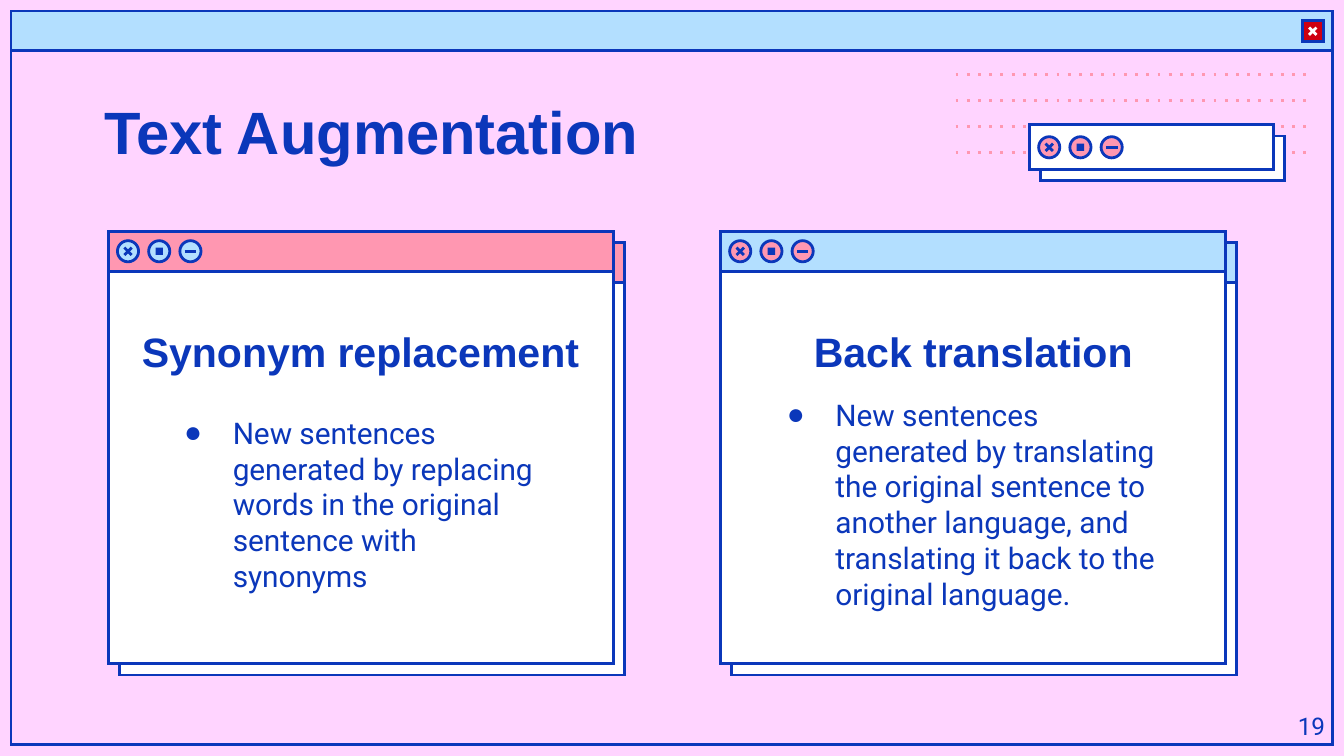
from lxml.etree import SubElement
from pptx import Presentation
from pptx.dml.color import RGBColor
from pptx.enum.dml import MSO_LINE
from pptx.enum.shapes import MSO_CONNECTOR, MSO_SHAPE as Preset
from pptx.enum.text import MSO_ANCHOR as Anchor, PP_ALIGN as Align
from pptx.oxml.ns import qn
from pptx.util import Cm, Pt

color = RGBColor.from_string
BLUE, SKY, ROSE, PINK, RED, WHITE = "0B37BA", "B3DFFF", "FF97B1", "FFD4FF", "CF0011", "FFFFFF"

deck = Presentation()
deck.slide_width, deck.slide_height = Cm(25.4), Cm(14.29)
slide = deck.slides.add_slide(deck.slide_layouts[6])
slide.background.fill.solid()
slide.background.fill.fore_color.rgb = color(PINK)


def add_block(preset, x, y, w, h, fill=None, outline=BLUE):
    block = slide.shapes.add_shape(preset, Cm(x), Cm(y), Cm(w), Cm(h))
    block.shadow.inherit = False
    if fill:
        block.fill.solid()
        block.fill.fore_color.rgb = color(fill)
    else:
        block.fill.background()
    if outline:
        block.line.color.rgb = color(outline)
        block.line.width = Pt(1.5)
        # Sharp corners
        SubElement(block.element.spPr.find(qn("a:ln")), qn("a:miter"), lim="800000")
    else:
        block.line.fill.background()


def add_stroke(x1, y1, x2, y2, ink, dotted=False):
    stroke = slide.shapes.add_connector(MSO_CONNECTOR.STRAIGHT, Cm(x1), Cm(y1), Cm(x2), Cm(y2))
    stroke.line.color.rgb = color(ink)
    stroke.line.width = Pt(1.5)
    if dotted:
        stroke.line.dash_style = MSO_LINE.ROUND_DOT
        for dash in stroke.element.iter(qn("a:prstDash")):
            dash.set("val", "dot")
    SubElement(stroke.element.spPr, qn("a:effectLst"))


# Browser frame with title bar and close button
add_block(Preset.RECTANGLE, 0.21, 0.21, 24.97, 13.87)
add_block(Preset.RECTANGLE, 0.21, 0.21, 24.97, 0.75, SKY)
add_block(Preset.RECTANGLE, 24.62, 0.39, 0.39, 0.39, RED)
for slope in (-1, 1):
    add_stroke(24.74, 0.59 - slope * 0.07, 24.88, 0.59 + slope * 0.07, WHITE)

# Dotted rows
for row in range(4):
    y = 1.41 + row * 0.49
    add_stroke(18.06, y, 24.79, y, ROSE, dotted=True)

# Windows: left, top, width, height, bar height, bar colour, button colour
windows = [
    (2.05, 4.37, 9.54, 8.18, 0.76, ROSE, SKY),
    (13.62, 4.37, 9.54, 8.18, 0.76, SKY, ROSE),
    (19.46, 2.36, 4.61, 0.85, 0.85, None, ROSE),
]
for left, top, width, height, bar_height, bar_color, button_color in windows:
    for shift in (0.21, 0):
        add_block(Preset.RECTANGLE, left + shift, top + shift, width, height, WHITE)
        if bar_color:
            add_block(Preset.RECTANGLE, left + shift, top + shift, width, bar_height, bar_color)

    # Three round buttons: cross, square, dash
    middle = top + bar_height / 2
    cross, square, dash = [left + 0.37 + n * 0.59 for n in range(3)]
    for center in (cross, square, dash):
        add_block(Preset.OVAL, center - 0.2, middle - 0.2, 0.4, 0.4, button_color)
    for slope in (-1, 1):
        add_stroke(cross - 0.07, middle - slope * 0.07, cross + 0.07, middle + slope * 0.07, BLUE)
    add_block(Preset.RECTANGLE, square - 0.07, middle - 0.07, 0.14, 0.14, BLUE, None)
    add_stroke(dash - 0.11, middle, dash + 0.11, middle, BLUE)

# Texts: wording, place, font, size, bold, alignment, anchor, bulleted
texts = [
    ("Text Augmentation", (1.72, 1.55, 17.75, 1.65),
     "Arial", 32, True, Align.LEFT, Anchor.TOP, False),
    ("Synonym replacement", (2.41, 6.12, 8.81, 1.04),
     "Arial", 22, True, Align.CENTER, Anchor.MIDDLE, False),
    ("New sentences generated by replacing words in the original sentence with synonyms",
     (2.88, 7.15, 7.9, 4.75), "Roboto", 16, False, Align.LEFT, Anchor.MIDDLE, True),
    ("Back translation", (13.99, 6.12, 8.81, 1.04),
     "Arial", 22, True, Align.CENTER, Anchor.MIDDLE, False),
    ("New sentences generated by translating the original sentence to another language, "
     "and translating it back to the original language.",
     (14.27, 7.15, 7.9, 4.75), "Roboto", 16, False, Align.LEFT, Anchor.MIDDLE, True),
    ("19", (23.77, 13.19, 1.52, 1.09),
     "Roboto", 13, False, Align.RIGHT, Anchor.TOP, False),
]
for wording, place, font, size, bold, align, anchor, bulleted in texts:
    frame = slide.shapes.add_textbox(*map(Cm, place)).text_frame
    frame.word_wrap = True
    frame.vertical_anchor = anchor
    frame.margin_left = frame.margin_right = frame.margin_top = frame.margin_bottom = Cm(0.25)
    paragraph = frame.paragraphs[0]
    paragraph.alignment = align
    run = paragraph.add_run()
    run.text = wording
    run.font.name = font
    run.font.size = Pt(size)
    run.font.bold = bold
    run.font.color.rgb = color(BLUE)
    if bulleted:
        props = paragraph._p.get_or_add_pPr()
        props.set("marL", str(Cm(1.27)))
        props.set("indent", str(Cm(-0.92)))
        SubElement(SubElement(props, qn("a:buClr")), qn("a:srgbClr"), val=BLUE)
        SubElement(props, qn("a:buFont"), typeface="Arial")
        SubElement(props, qn("a:buChar"), char="●")

deck.save("out.pptx")
